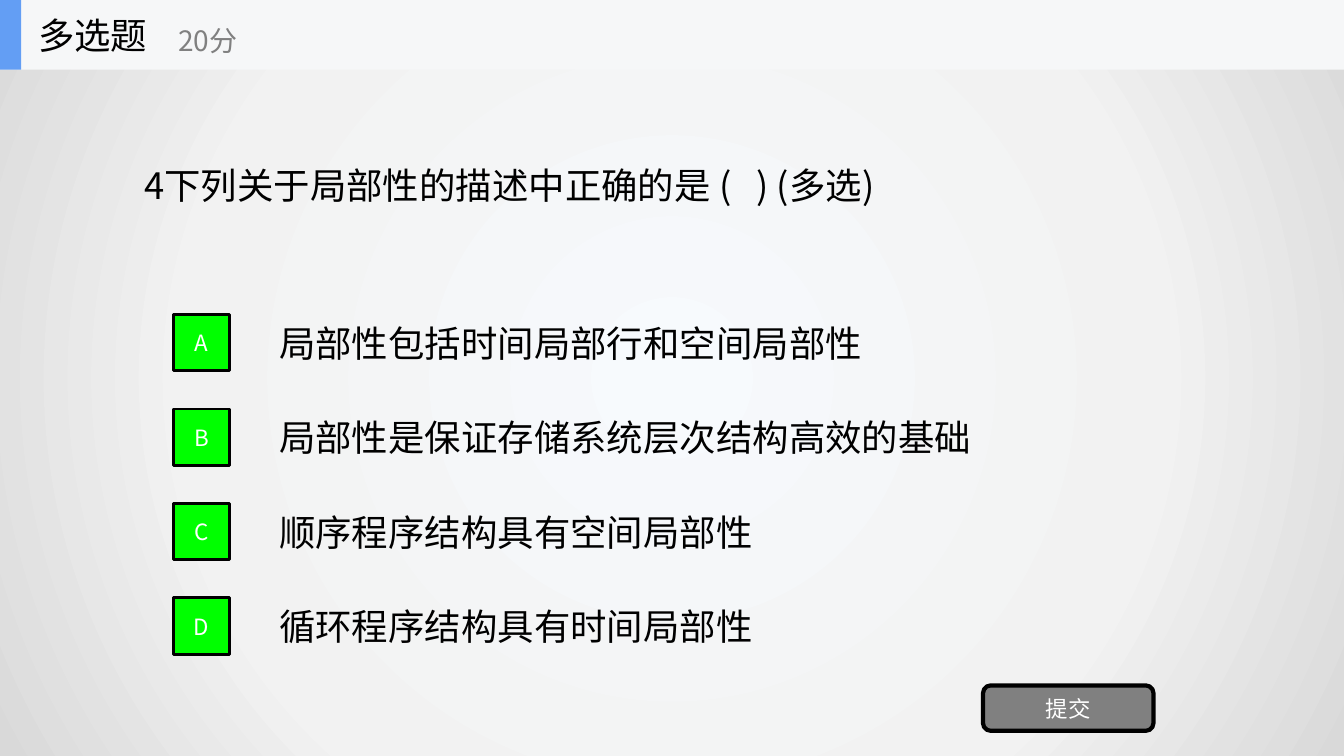
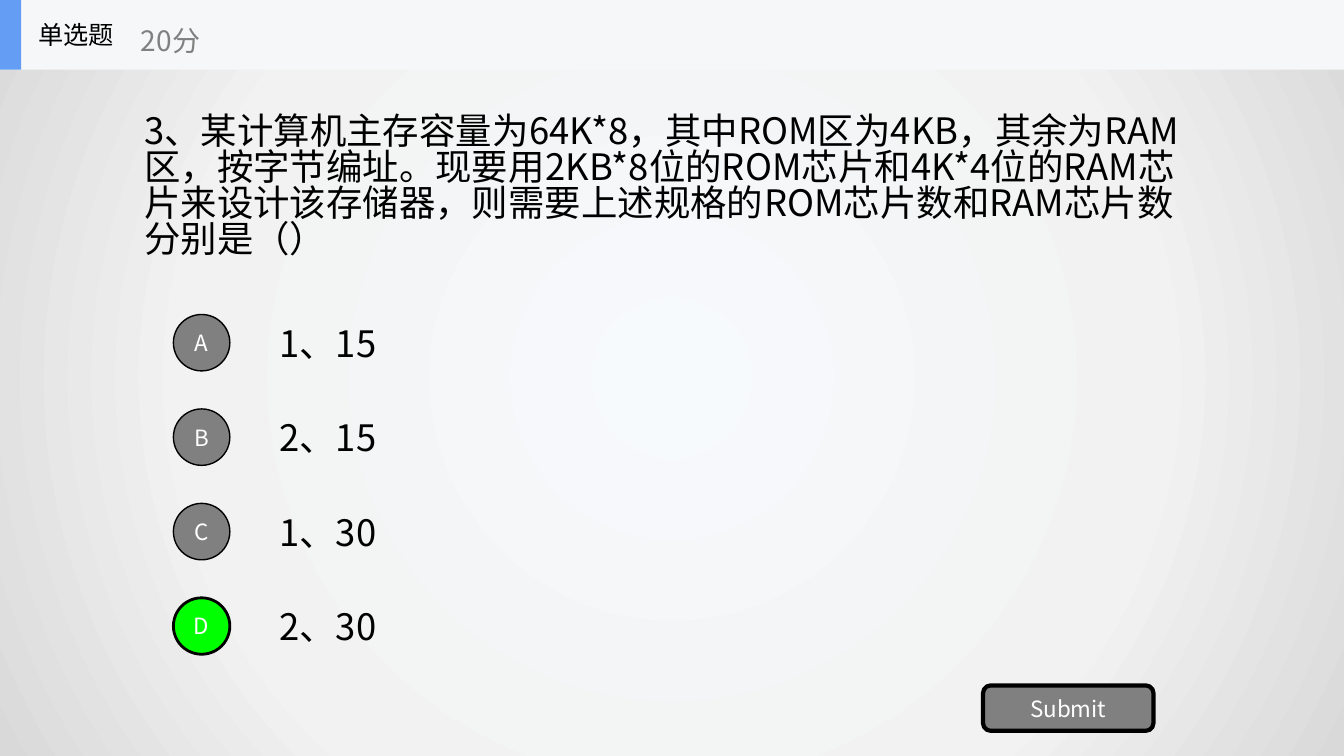
"""Build two quiz slides: a multiple-choice and a single-choice question."""
from lxml import etree
from pptx import Presentation
from pptx.dml.color import RGBColor
from pptx.enum.shapes import MSO_SHAPE as Shape
from pptx.enum.text import MSO_ANCHOR as Anchor, MSO_AUTO_SIZE as AutoSize, PP_ALIGN as Align
from pptx.oxml import parse_xml
from pptx.oxml.ns import nsdecls, qn
from pptx.util import Inches, Pt

FONT = "Noto Sans CJK SC"
COLORS = {
    "text": "000000", "white": "FFFFFF", "gray": "808080", "correct": "00FF00",
    "band": "F6F7F8", "accent": "639EF4",
}
BACKGROUND = [(0, "F7FAFD"), (63, "F2F2F2"), (100, "D9D9D9")]
BAND_HEIGHT = 0.69
MARK_LEFT, MARK_TOP, MARK_SIZE, MARK_STEP = 1.72, 3.12, 0.56, 0.937
OPTION_LEFT = 2.67

QUIZZES = [
    {
        "kind": "多选题", "kind_size": 26, "score": "20分", "score_left": 1.67,
        "question": "4下列关于局部性的描述中正确的是 (   ) (多选)",
        "question_at": (1.33, 1.6, 7.57, 0.54),
        "options": [
            ("局部性包括时间局部行和空间局部性", 6.09),
            ("局部性是保证存储系统层次结构高效的基础", 7.17),
            ("顺序程序结构具有空间局部性", 5),
            ("循环程序结构具有时间局部性", 5),
        ],
        "option_height": 0.53, "mark": Shape.RECTANGLE, "answers": "ABCD", "submit": "提交",
    },
    {
        "kind": "单选题", "kind_size": 18, "score": "20分", "score_left": 1.3,
        "question": "3、某计算机主存容量为64K*8，其中ROM区为4KB，其余为RAM区，按字节编址。"
                    "现要用2KB*8位的ROM芯片和4K*4位的RAM芯片来设计该存储器，"
                    "则需要上述规格的ROM芯片数和RAM芯片数分别是（）",
        "question_at": (1.33, 0.69, 10.67, 2.34),
        "options": [("1、15", 9.33), ("2、15", 9.33), ("1、30", 9.33), ("2、30", 9.33)],
        "option_height": 0.7, "mark": Shape.OVAL, "answers": "D", "submit": "Submit",
    },
]


def color(name):
    return RGBColor.from_string(COLORS[name])


def write(box, text, size, ink="text", align=Align.LEFT):
    frame = box.text_frame
    frame.text = text
    frame.word_wrap = True
    frame.auto_size = AutoSize.NONE
    frame.vertical_anchor = Anchor.MIDDLE
    para = frame.paragraphs[0]
    para.alignment = align
    for span in para.runs:
        span.font.size = Pt(size)
        span.font.name = FONT
        span.font.color.rgb = color(ink)
        east_asian = etree.SubElement(span.font._element, qn("a:ea"))
        east_asian.set("typeface", FONT)
    return para


def add_text(page, place, text, size, ink="text"):
    box = page.shapes.add_textbox(*map(Inches, place))
    write(box, text, size, ink)


def add_block(page, kind, place, fill, line_width=0):
    block = page.shapes.add_shape(kind, *map(Inches, place))
    block.shadow.inherit = False
    block.fill.solid()
    block.fill.fore_color.rgb = color(fill)
    if line_width:
        block.line.color.rgb = color("text")
        block.line.width = Pt(line_width)
    else:
        block.line.fill.background()
    return block


def set_background(master):
    stops = "".join(
        f'<a:gs pos="{position * 1000}"><a:srgbClr val="{value}"/></a:gs>'
        for position, value in BACKGROUND
    )
    content = master.element.cSld
    for old in content.findall(qn("p:bg")):
        content.remove(old)
    content.insert(0, parse_xml(
        f'<p:bg {nsdecls("p", "a")}><p:bgPr><a:gradFill><a:gsLst>{stops}</a:gsLst>'
        '<a:path path="circle"><a:fillToRect l="50000" t="50000" r="50000" b="50000"/></a:path>'
        "</a:gradFill><a:effectLst/></p:bgPr></p:bg>"
    ))


def add_header(page, quiz):
    for width, fill in ((13.33, "band"), (0.21, "accent")):
        add_block(page, Shape.RECTANGLE, (0, 0, width, BAND_HEIGHT), fill)
    add_text(page, (0.28, 0, 2.08, BAND_HEIGHT), quiz["kind"], quiz["kind_size"])
    add_text(page, (quiz["score_left"], 0.12, 2.5, 0.56), quiz["score"], 20, "gray")


def add_question(page, quiz):
    title = page.shapes.title
    title.left, title.top, title.width, title.height = map(Inches, quiz["question_at"])
    write(title, quiz["question"], 26).line_spacing = 0.83


def add_options(page, quiz):
    height = quiz["option_height"]
    for index, (text, width) in enumerate(quiz["options"]):
        letter = "ABCD"[index]
        correct = letter in quiz["answers"]
        top = MARK_TOP + index * MARK_STEP
        text_top = top + (MARK_SIZE - height) / 2
        add_text(page, (OPTION_LEFT, text_top, width, height), text, 26)
        mark = add_block(page, quiz["mark"], (MARK_LEFT, top, MARK_SIZE, MARK_SIZE),
                         "correct" if correct else "gray", 2 if correct else 1)
        write(mark, letter, 16, "white", Align.CENTER)


def main():
    deck = Presentation()
    deck.slide_width, deck.slide_height = Inches(13.33), Inches(7.5)
    set_background(deck.slide_master)
    for quiz in QUIZZES:
        page = deck.slides.add_slide(deck.slide_layouts[5])
        add_question(page, quiz)
        add_options(page, quiz)
        button = add_block(page, Shape.ROUNDED_RECTANGLE, (9.75, 6.8, 1.69, 0.45), "gray", 3)
        write(button, quiz["submit"], 16, "white", Align.CENTER)
        add_header(page, quiz)
    deck.save("out.pptx")


if __name__ == "__main__":
    main()
